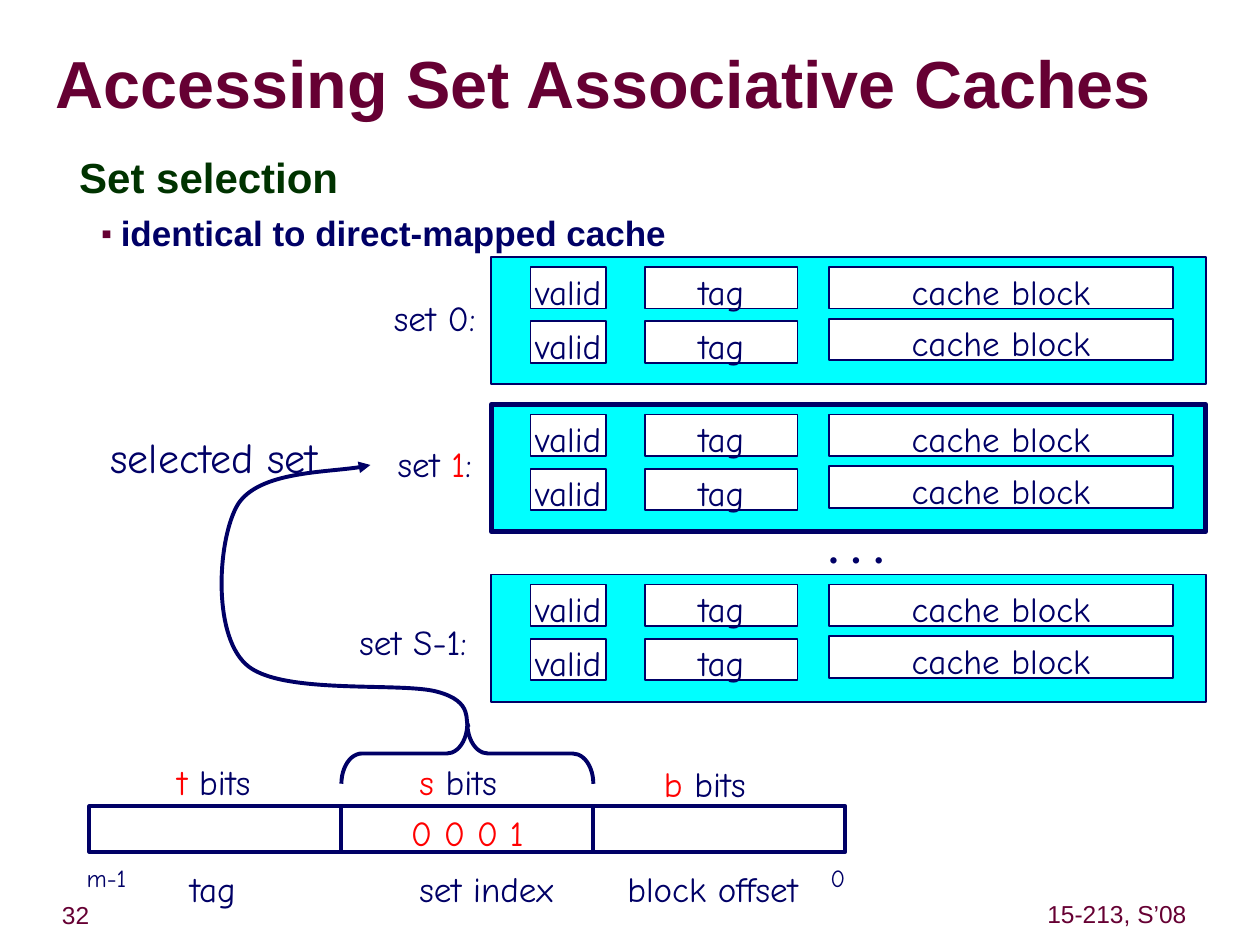
import pptx
import pptx.dml.color
import pptx.enum.shapes
import pptx.enum.text
import pptx.oxml
import pptx.oxml.ns
import pptx.util

Inches = pptx.util.Inches
SHAPES = pptx.enum.shapes.MSO_SHAPE
ALIGN = pptx.enum.text.PP_ALIGN
ANCHOR = pptx.enum.text.MSO_ANCHOR
COLORS = {"navy": "000066", "red": "FF0000", "maroon": "660033",
          "green": "003300", "cyan": "00FFFF", "white": "FFFFFF"}
HAND = "Comic Neue"


def rgb(name):
    """Return the named colour."""
    return pptx.dml.color.RGBColor.from_string(COLORS[name])


def write_text(shape, text, font=HAND, size=20, color="navy", bold=False, align=ALIGN.CENTER,
               anchor=ANCHOR.MIDDLE, spacing=1.16, before=0, wrap=False, inset=(0.1, 0.05),
               append=False):
    """Write a string, or a list of (text, colour) runs, as one paragraph of the shape."""
    frame = shape.text_frame
    frame.word_wrap = wrap
    frame.auto_size = pptx.enum.text.MSO_AUTO_SIZE.NONE
    frame.vertical_anchor = anchor
    frame.margin_left = frame.margin_right = Inches(inset[0])
    frame.margin_top = frame.margin_bottom = Inches(inset[1])
    paragraph = frame.add_paragraph() if append else frame.paragraphs[0]
    paragraph.alignment = align
    paragraph.line_spacing = spacing
    paragraph.space_before = pptx.util.Pt(before)
    for words, run_color in [(text, color)] if isinstance(text, str) else text:
        run = paragraph.add_run()
        run.text = words
        run.font.name = font
        run.font.size = pptx.util.Pt(size)
        run.font.bold = bold
        run.font.color.rgb = rgb(run_color)
    return paragraph


def add_label(slide, text, left, top, width, height, **text_format):
    """Add a text box holding one paragraph."""
    box = slide.shapes.add_textbox(Inches(left), Inches(top), Inches(width), Inches(height))
    write_text(box, text, **text_format)
    return box


def style_outline(shape, fill=None, weight=1):
    """Give a shape a navy line, an optional fill and no shadow."""
    shape.shadow.inherit = False
    if fill:
        shape.fill.solid()
        shape.fill.fore_color.rgb = rgb(fill)
    else:
        shape.fill.background()
    shape.line.color.rgb = rgb("navy")
    shape.line.width = pptx.util.Pt(weight)


def add_box(slide, left, top, width, height, text=None, color="navy", fill=None, weight=1):
    """Add an outlined rectangle with optional centred text."""
    box = slide.shapes.add_shape(SHAPES.RECTANGLE, Inches(left), Inches(top),
                                 Inches(width), Inches(height))
    style_outline(box, fill, weight)
    if text:
        write_text(box, text, color=color)
    return box


def indent(paragraph, margin, first_line):
    """Set the left margin and first-line indent of a paragraph."""
    properties = paragraph._p.get_or_add_pPr()
    properties.set("marL", str(Inches(margin)))
    properties.set("indent", str(Inches(first_line)))
    return properties


def add_square_bullet(properties):
    """Add a small maroon square bullet to paragraph properties."""
    namespace = pptx.oxml.ns.nsdecls("a")
    for markup in (f'<a:buClr {namespace}><a:srgbClr val="{COLORS["maroon"]}"/></a:buClr>',
                   f'<a:buSzPct {namespace} val="45000"/>',
                   f'<a:buFont {namespace} typeface="Arial"/>',
                   f'<a:buChar {namespace} char="■"/>'):
        properties.append(pptx.oxml.parse_xml(markup))


def add_heading(slide, left, top):
    """Fill the title and write the two lines of body text below it."""
    title = slide.shapes.title
    title.left, title.top = Inches(left), Inches(top)
    title.width, title.height = Inches(9.53), Inches(0.86)
    write_text(title, "Accessing Set Associative Caches", font="Arial", size=38, color="maroon",
               bold=True, align=ALIGN.LEFT, spacing=0.85, wrap=True, inset=(0, 0))
    body_format = dict(font="Arial", bold=True, align=ALIGN.LEFT, anchor=ANCHOR.TOP, wrap=True)
    body = add_label(slide, "Set selection", left - 0.12, top + 0.92, 9.09, 1.06, size=24,
                     color="green", spacing=0.93, before=15, **body_format)
    indent(body.text_frame.paragraphs[0], 0.35, -0.14)
    item = write_text(body, "identical to direct-mapped cache", spacing=0.98, before=6.2,
                      append=True, **body_format)
    add_square_bullet(indent(item, 0.54, -0.15))


def add_cache_set(slide, left, top, label, label_center, label_top, weight=1):
    """Draw one cache set with two lines and its label to the left."""
    add_box(slide, left, top, 5.67, 1.01, fill="cyan", weight=weight)
    for text, offset, width, pitch in (("valid", 0.31, 0.6, 0.43), ("tag", 1.22, 1.21, 0.43),
                                       ("cache block", 2.68, 2.73, 0.41)):
        for row in range(2):
            add_box(slide, left + offset, top + 0.08 + row * pitch, width, 0.33, text,
                    fill="white")
    add_label(slide, label, left + label_center - 0.5, top + label_top, 1, 0.49)


def add_address(slide, left, top):
    """Draw the three address fields with bit counts, names and end positions."""
    fields = (("t", "tag", None, 0.6, 0.7, -0.47),
              ("s", "set index", "0 0 0 1", 0.52, 0.52, -0.47),
              ("b", "block offset", None, 0.46, 0.17, -0.45))
    plain = dict(align=ALIGN.LEFT, anchor=ANCHOR.TOP)
    for index, (letter, name, value, bits_left, name_left, bits_top) in enumerate(fields):
        field_left = left + 2 * index
        add_box(slide, field_left, top, 2, 0.36, value, color="red", weight=2.25)
        add_label(slide, [(letter, "red"), (" bits", "navy")], field_left + bits_left,
                  top + bits_top, 0.85, 0.48, **plain)
        add_label(slide, name, field_left + name_left, top + 0.38, 1.55, 0.48, **plain)
    add_label(slide, "m-1", left - 0.12, top + 0.36, 0.51, 0.37, size=14)
    add_label(slide, "0", left + 5.78, top + 0.36, 0.32, 0.37, size=14)


def add_brace(slide, left, top, width, height):
    """Draw a brace that points up over the given box."""
    center_x, center_y = left + width / 2, top + height / 2
    brace = slide.shapes.add_shape(SHAPES.RIGHT_BRACE, Inches(center_x - height / 2),
                                   Inches(center_y - width / 2), Inches(height), Inches(width))
    brace.rotation = 270
    brace.adjustments[0] = 0.34
    style_outline(brace, weight=2.25)


def add_curved_arrow(slide, left, top, points):
    """Draw cubic curves through points given from the corner, ending in an arrowhead."""
    places = [(Inches(left + x), Inches(top + y)) for x, y in points]
    builder = slide.shapes.build_freeform(*places[0])
    builder.add_line_segments(places[1:], close=False)
    arrow = builder.convert_to_shape()
    style_outline(arrow, weight=2.25)
    qualified = pptx.oxml.ns.qn
    segments = list(arrow._element.iter(qualified("a:lnTo")))
    outline = segments[0].getparent()
    for start in range(0, len(segments), 3):
        curve = outline.makeelement(qualified("a:cubicBezTo"), {})
        outline.append(curve)
        for segment in segments[start:start + 3]:
            curve.append(segment[0])
            outline.remove(segment)
    line = arrow._element.spPr.find(qualified("a:ln"))
    line.append(line.makeelement(qualified("a:tailEnd"), {"type": "triangle"}))


def add_footer(slide, left, top):
    """Write the page number and course name."""
    footer = dict(font="Arial", size=14, color="maroon", spacing=0.88, inset=(0.05, 0.05))
    add_label(slide, "32", left, top, 1.04, 0.31, **footer)
    add_label(slide, "15-213, S’08", left + 8.18, top - 0.01, 1.21, 0.31, **footer)


def main():
    """Build and save the slide."""
    presentation = pptx.Presentation()
    presentation.slide_width, presentation.slide_height = Inches(10), Inches(7.5)
    slide = presentation.slides.add_slide(presentation.slide_layouts[5])
    add_footer(slide, 0.08, 7.12)
    add_heading(slide, 0.44, 0.27)
    add_cache_set(slide, 3.9, 2.04, "set 0:", -0.45, 0.21)
    add_cache_set(slide, 3.9, 3.21, [("set ", "navy"), ("1", "red"), (":", "navy")],
                  -0.45, 0.2, weight=3)
    add_cache_set(slide, 3.9, 4.56, "set S-1:", -0.62, 0.26)
    add_label(slide, "• • •", 6.34, 4.22, 0.91, 0.33)
    add_address(slide, 0.71, 6.4)
    add_brace(slide, 2.71, 5.74, 2, 0.48)
    add_label(slide, "selected set", 0.77, 3.31, 1.86, 0.57, size=24)
    add_curved_arrow(slide, 1.68, 3.69, [
        (2.04, 2.08), (2, 2.04), (2.09, 1.88), (1.79, 1.8), (1.5, 1.72), (0.53, 1.83),
        (0.27, 1.58), (0, 1.33), (0.05, 0.57), (0.21, 0.31), (0.38, 0.05), (1.04, 0.06),
        (1.26, 0)])
    presentation.save("out.pptx")


if __name__ == "__main__":
    main()
